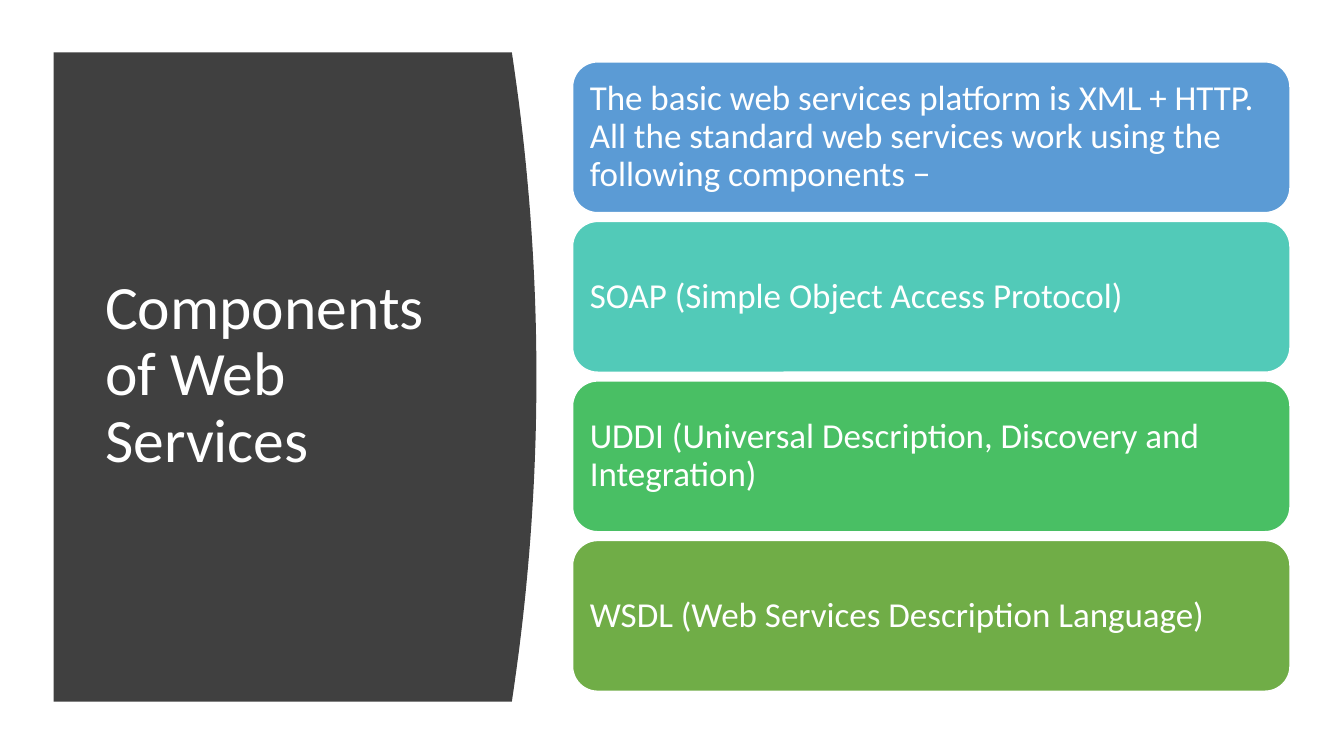
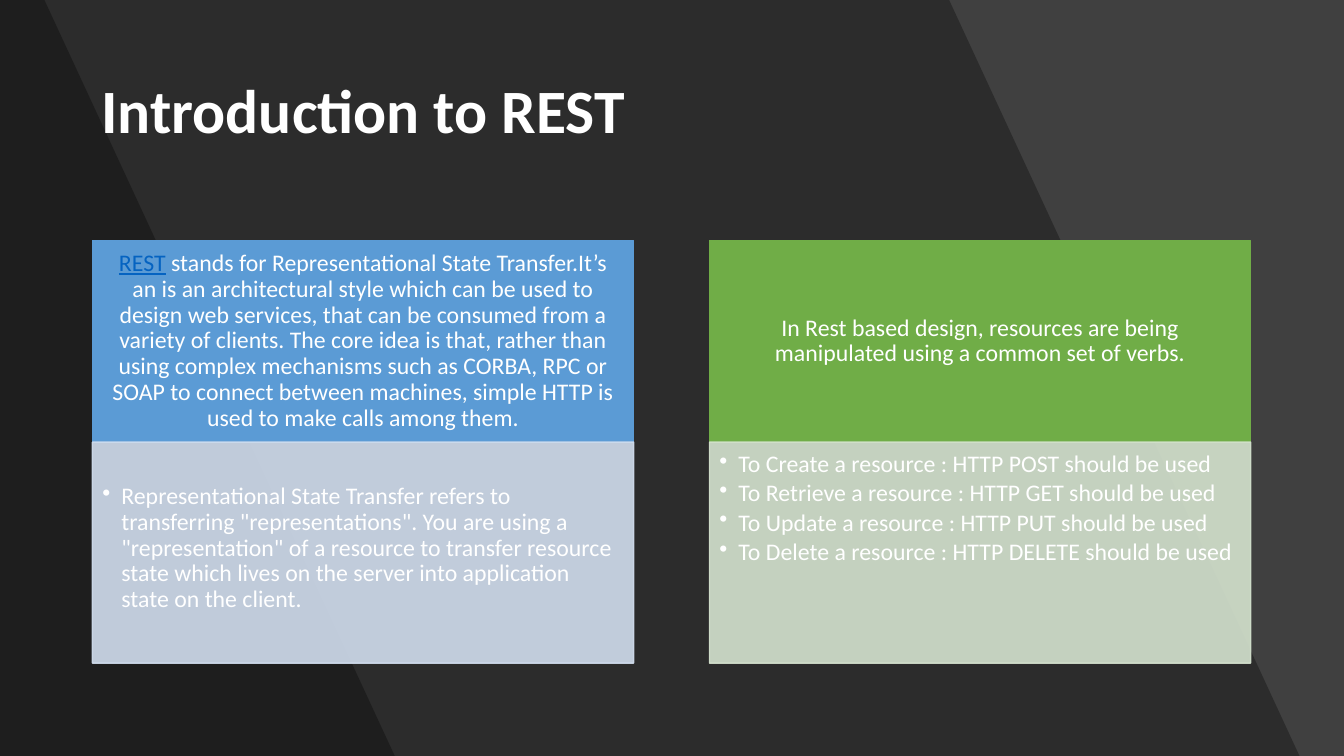
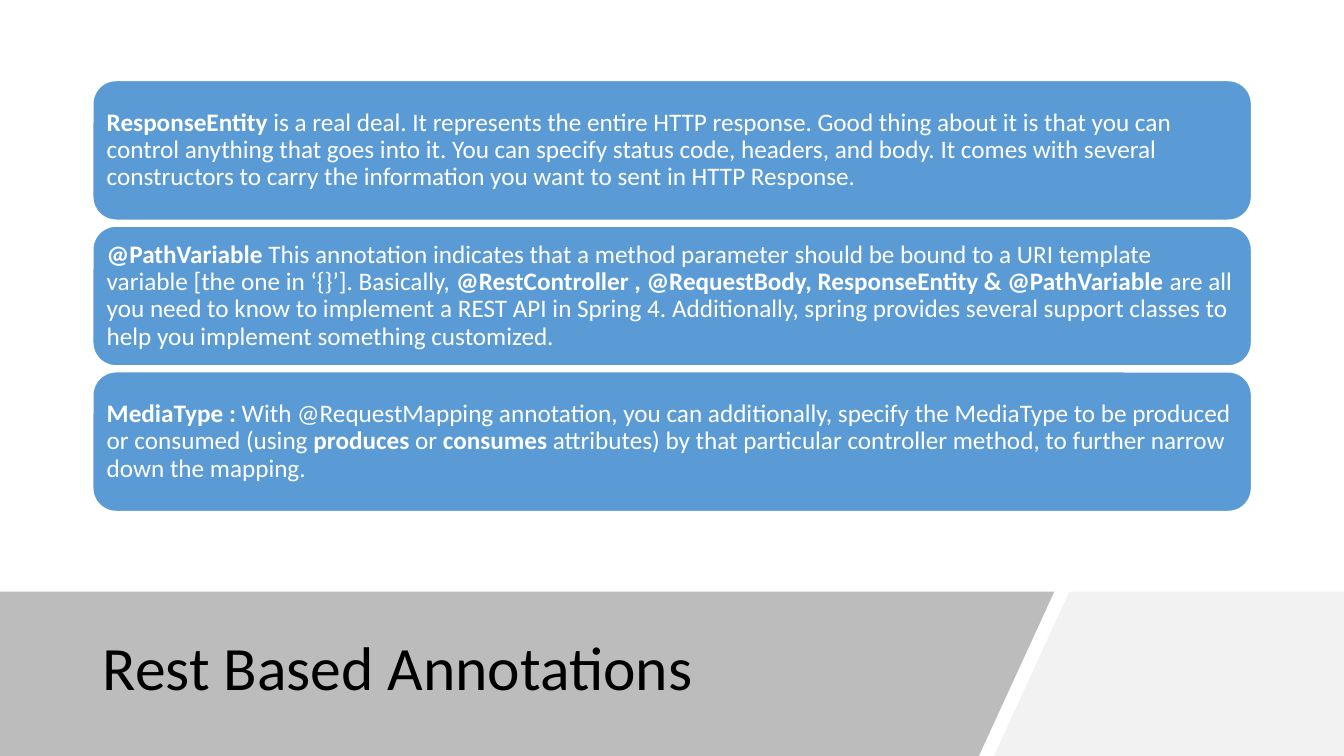
import dataclasses
import typing

import pptx
import pptx.dml.color
import pptx.enum.shapes
import pptx.enum.text
import pptx.oxml.ns
import pptx.presentation
import pptx.shapes.autoshape
import pptx.slide
import pptx.text.text
import pptx.util
from lxml import etree

Cm = pptx.util.Cm
Align = pptx.enum.text.PP_ALIGN
Anchor = pptx.enum.text.MSO_ANCHOR
Kind = pptx.enum.shapes.MSO_SHAPE
Shape = pptx.shapes.autoshape.Shape
Slide = pptx.slide.Slide
qn = pptx.oxml.ns.qn


# Theme
@dataclasses.dataclass(frozen=True)
class Theme:
    font: str = "Calibri"
    white: str = "FFFFFF"
    black: str = "000000"
    dark: str = "404040"
    grey: str = "595959"
    light: str = "F2F2F2"
    blue: str = "5B9BD5"
    teal: str = "52CAB8"
    mint: str = "49BF64"
    green: str = "70AD47"
    haze: str = "D2DEEF"
    sage: str = "D5E3CF"
    link: str = "0563C1"
    title: float = 44
    large: float = 25
    body: float = 18
    small: float = 17


THEME = Theme()
WIDE, HIGH = 33.87, 19.05  # slide size in cm


class Box(typing.NamedTuple):
    left: float
    top: float
    width: float
    height: float


class Span(typing.NamedTuple):
    text: str
    bold: bool = False
    link: bool = False


class Pads(typing.NamedTuple):
    left: float
    top: float
    right: float
    bottom: float


Line = list[Span]


@dataclasses.dataclass(frozen=True)
class Card:
    line: Line
    fill: str = THEME.blue


@dataclasses.dataclass(frozen=True)
class Column:
    head: Line
    points: list[Line]
    fill: str
    tint: str
    drop: float  # top inset of the list


# Drawing tools
def rgb(code: str) -> pptx.dml.color.RGBColor:
    return pptx.dml.color.RGBColor.from_string(code)


def write(frame: pptx.text.text.TextFrame, lines: list[Line], *, size: float,
          color: str = THEME.white, pads: Pads = Pads(0.25, 0.13, 0.25, 0.13),
          align: Align = Align.LEFT, anchor: Anchor = Anchor.MIDDLE,
          bullet: bool = False) -> None:
    frame.word_wrap = True
    frame.auto_size = pptx.enum.text.MSO_AUTO_SIZE.NONE
    frame.vertical_anchor = anchor
    frame.margin_left, frame.margin_top = Cm(pads.left), Cm(pads.top)
    frame.margin_right, frame.margin_bottom = Cm(pads.right), Cm(pads.bottom)
    for i, line in enumerate(lines):
        para = frame.paragraphs[0] if i == 0 else frame.add_paragraph()
        para.alignment = align
        para.line_spacing = 0.9
        if bullet:
            para.space_after = pptx.util.Pt(2.6)
            props = para._p.get_or_add_pPr()
            props.set("marL", str(Cm(0.48)))
            props.set("indent", str(-Cm(0.48)))
            etree.SubElement(props, qn("a:buChar")).set("char", "•")
        for span in line:
            run = para.add_run()
            run.text = span.text
            font = run.font
            font.name, font.size = THEME.font, pptx.util.Pt(size)
            font.bold, font.underline = span.bold, span.link
            font.color.rgb = rgb(THEME.link if span.link else color)


def paint(shape: Shape, fill: str, *, edge: str | None = None,
          alpha: int = 100) -> None:
    shape.shadow.inherit = False
    shape.fill.solid()
    shape.fill.fore_color.rgb = rgb(fill)
    if edge:
        shape.line.color.rgb = rgb(edge)
        shape.line.width = pptx.util.Pt(1)
    else:
        shape.line.fill.background()
    if alpha < 100:
        for tone in shape.element.spPr.iter(qn("a:srgbClr")):
            etree.SubElement(tone, qn("a:alpha")).set("val", str(alpha * 1000))


def block(slide: Slide, kind: Kind, box: Box, fill: str, *, edge: str,
          alpha: int = 100) -> Shape:
    shape = slide.shapes.add_shape(kind, *(Cm(n) for n in box))
    paint(shape, fill, edge=edge, alpha=alpha)
    return shape


def region(slide: Slide, spots: list[tuple[float, float]], fill: str, *,
           alpha: int = 100) -> None:
    first, *rest = [(Cm(x), Cm(y)) for x, y in spots]
    pen = slide.shapes.build_freeform(*first)
    pen.add_line_segments(rest, close=True)
    paint(pen.convert_to_shape(), fill, alpha=alpha)


def head(slide: Slide, text: str, box: Box, *, color: str = THEME.white,
         bold: bool = False) -> None:
    title = slide.shapes.title
    title.left, title.top, title.width, title.height = (Cm(n) for n in box)
    write(title.text_frame, [[Span(text, bold)]], size=THEME.title, color=color)
    title.element.getparent().append(title.element)  # above the backdrop


def stack(slide: Slide, cards: list[Card], first: Box, *, gap: float,
          size: float, pad: float) -> None:
    for i, card in enumerate(cards):
        box = first._replace(top=first.top + i * (first.height + gap))
        shape = block(slide, Kind.ROUNDED_RECTANGLE, box, card.fill,
                      edge=THEME.white)
        write(shape.text_frame, [card.line], size=size,
              pads=Pads(pad, pad, pad, pad))


# Slide 1: parts of web services
def parts(slide: Slide) -> None:
    left, top, base, edge, bulge = 1.35, 1.32, 17.68, 12.9, 0.62
    steps = 40
    curve = []
    for i in range(steps + 1):
        t = 2 * i / steps - 1
        curve.append((edge + bulge * (1 - t * t),
                      top + (base - top) * i / steps))
    region(slide, [(left, top), *curve, (left, base)], THEME.dark)
    head(slide, "Components of Web Services", Box(2.4, 2.82, 9.5, 13.3))
    cards = [
        Card([Span("The basic web services platform is XML + HTTP. All the "
                   "standard web services work using the following "
                   "components −")], THEME.blue),
        Card([Span("SOAP (Simple Object Access Protocol)")], THEME.teal),
        Card([Span("UDDI (Universal Description, Discovery and Integration)")],
             THEME.mint),
        Card([Span("WSDL (Web Services Description Language)")], THEME.green),
    ]
    stack(slide, cards, Box(14.43, 1.56, 18.08, 3.8), gap=0.22,
          size=THEME.large, pad=0.25)


# Slide 2: two columns on a dark ground
def intro(slide: Slide) -> None:
    slide.background.fill.solid()
    slide.background.fill.fore_color.rgb = rgb(THEME.dark)
    slant = 8.83
    for edge in (23.92, 1.12):
        region(slide, [(0, 0), (edge, 0), (edge + slant, HIGH), (0, HIGH)],
               THEME.black, alpha=30)
    head(slide, "Introduction to REST", Box(2.31, 1.01, 29.24, 3.68), bold=True)
    verbs = {"Create": "POST", "Retrieve": "GET", "Update": "PUT",
             "Delete": "DELETE"}
    columns = [
        Column(
            [Span("REST", link=True),
             Span(" stands for Representational State Transfer.It’s an is an "
                  "architectural style which can be used to design web "
                  "services, that can be consumed from a variety of clients. "
                  "The core idea is that, rather than using complex "
                  "mechanisms such as CORBA, RPC or SOAP to connect between "
                  "machines, simple HTTP is used to make calls among them.")],
            [[Span('Representational State Transfer refers to transferring '
                   '"representations". You are using a "representation" of a '
                   'resource to transfer resource state which lives on the '
                   'server into application state on the client.')]],
            THEME.blue, THEME.haze, 1.06),
        Column(
            [Span("In Rest based design, resources are being manipulated "
                  "using a common set of verbs.")],
            [[Span(f"To {task} a resource : HTTP {verb} should be used")]
             for task, verb in verbs.items()],
            THEME.green, THEME.sage, 0.25),
    ]
    for i, col in enumerate(columns):
        top = Box(2.33 + i * 15.55, 6.06, 13.64, 5.08)
        low = top._replace(top=top.top + top.height, height=5.57)
        shape = block(slide, Kind.RECTANGLE, top, col.fill, edge=col.fill)
        write(shape.text_frame, [col.head], size=THEME.small,
              pads=Pads(0.33, 0.2, 0.33, 0.2), align=Align.CENTER)
        shape = block(slide, Kind.RECTANGLE, low, col.tint, edge=col.tint,
                      alpha=90)
        write(shape.text_frame, col.points, size=THEME.small, bullet=True,
              pads=Pads(0.25, col.drop, 0.33, 0.38), anchor=Anchor.TOP)


# Slide 3: notes above a slanted band
def notes(slide: Slide) -> None:
    top = 14.91
    region(slide, [(26.95, top), (WIDE, top), (WIDE, HIGH), (25.05, HIGH)],
           THEME.light)
    region(slide, [(0, top), (26.57, top), (24.67, HIGH), (0, HIGH)],
           THEME.grey, alpha=40)
    head(slide, "Rest Based Annotations", Box(2.34, 15.37, 22.43, 3.05),
         color=THEME.black)
    cards = [
        Card([Span("ResponseEntity", True),
              Span(" is a real deal. It represents the entire HTTP response. "
                   "Good thing about it is that you can control anything that "
                   "goes into it. You can specify status code, headers, and "
                   "body. It comes with several constructors to carry the "
                   "information you want to sent in HTTP Response.")]),
        Card([Span("@PathVariable", True),
              Span(" This annotation indicates that a method parameter should "
                   "be bound to a URI template variable [the one in ‘{}’]. "
                   "Basically, "),
              Span("@RestController , @RequestBody, ResponseEntity & "
                   "@PathVariable ", True),
              Span("are all you need to know to implement a REST API in "
                   "Spring 4. Additionally, spring provides several support "
                   "classes to help you implement something customized.")]),
        Card([Span("MediaType :", True),
              Span(" With @RequestMapping annotation, you can additionally, "
                   "specify the MediaType to be produced or consumed (using "),
              Span("produces", True), Span(" or "), Span("consumes", True),
              Span(" attributes) by that particular controller method, to "
                   "further narrow down the mapping.")]),
    ]
    stack(slide, cards, Box(2.34, 2.03, 29.2, 3.52), gap=0.15,
          size=THEME.body, pad=0.18)


def main() -> None:
    deck = pptx.Presentation()
    deck.slide_width, deck.slide_height = Cm(WIDE), Cm(HIGH)
    layout = deck.slide_layouts.get_by_name("Title Only")
    for draw in (parts, intro, notes):
        draw(deck.slides.add_slide(layout))
    deck.save("out.pptx")


if __name__ == "__main__":
    main()
